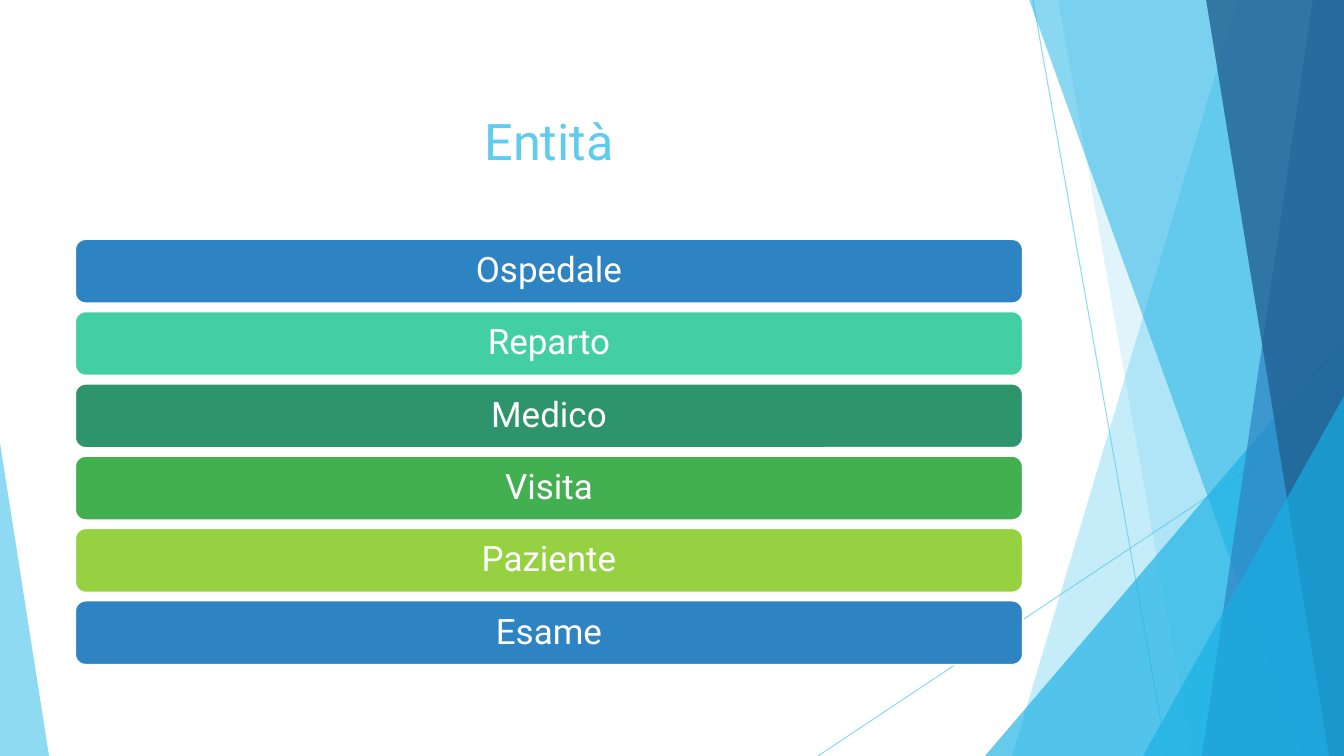
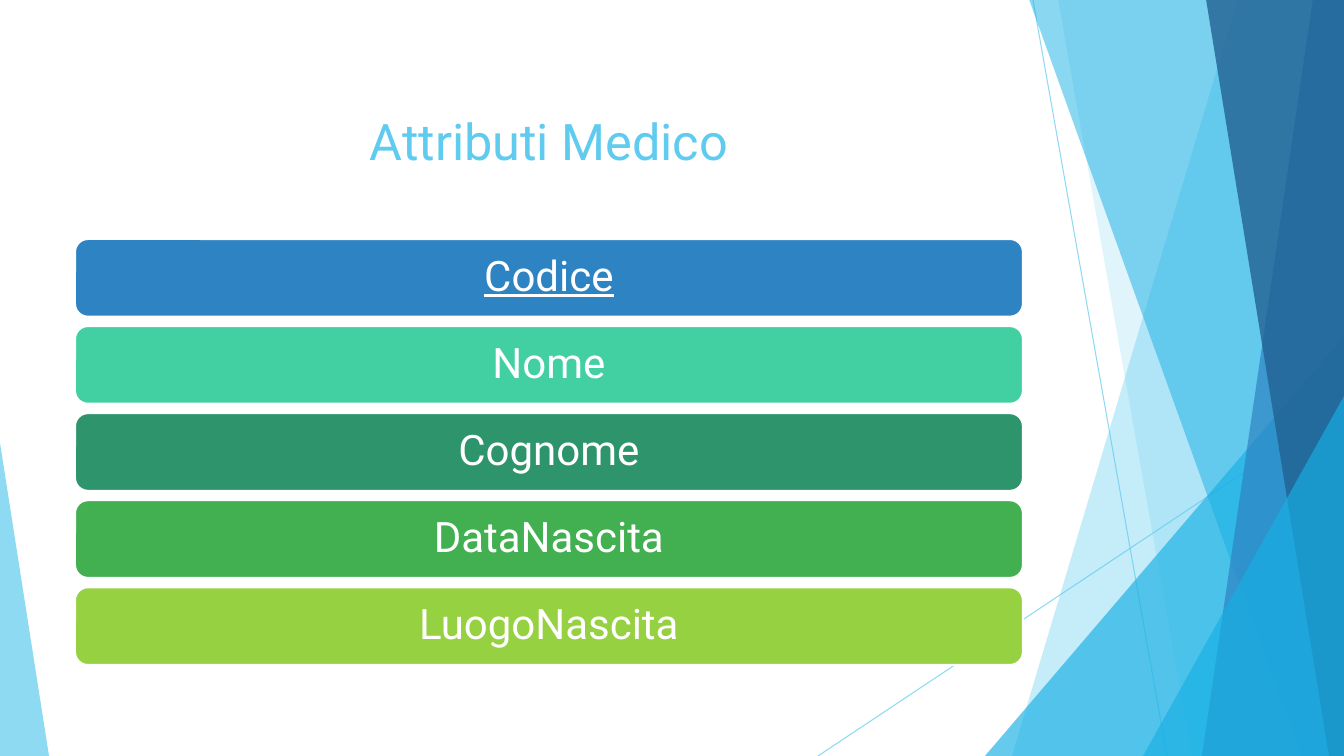
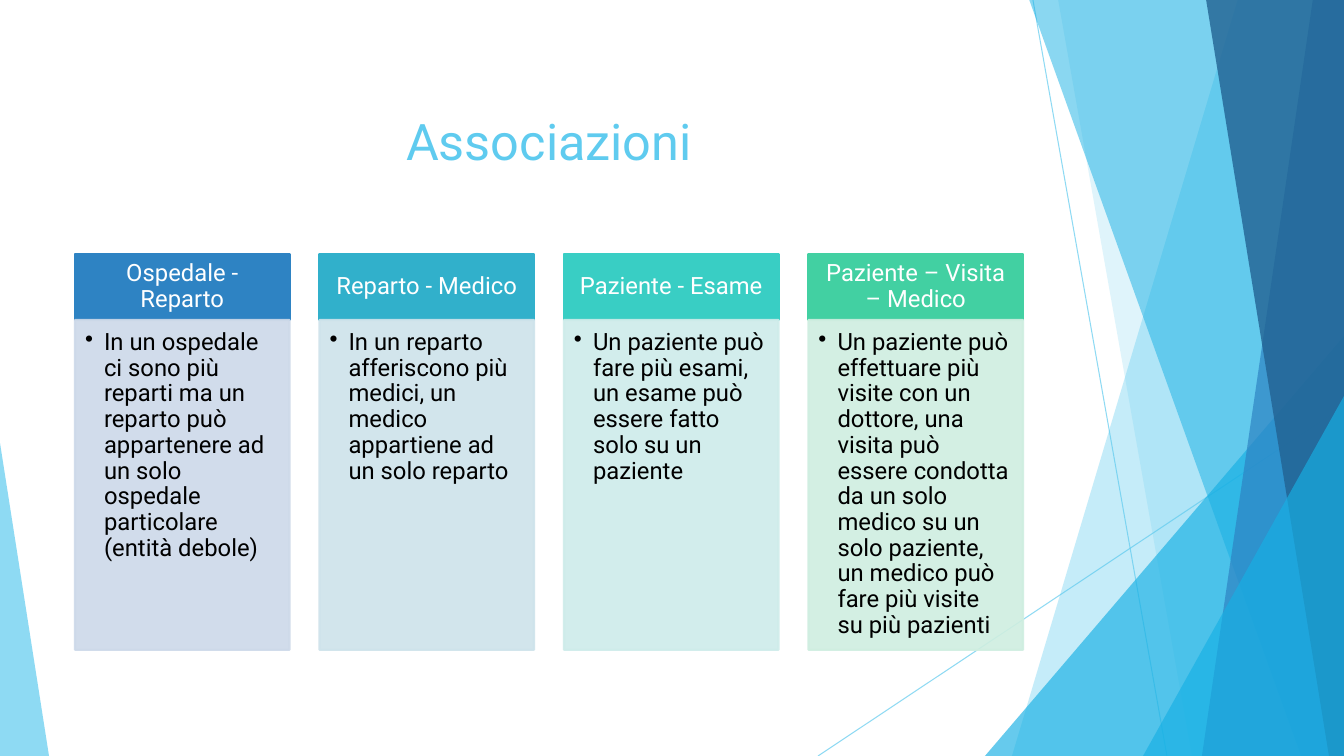
from pptx import Presentation
from pptx.dml.color import RGBColor
from pptx.enum.shapes import MSO_CONNECTOR, MSO_SHAPE
from pptx.enum.text import MSO_ANCHOR, PP_ALIGN
from pptx.oxml.ns import qn
from pptx.util import Pt
from lxml import etree

SCALE = 914400 / 100.8
WIDE, HIGH = 1344, 756

SKY = RGBColor(0x5F, 0xCB, 0xEF)
CYAN = RGBColor(0x17, 0xB0, 0xE4)
BLUE = RGBColor(0x2E, 0x83, 0xC3)
NAVY = RGBColor(0x22, 0x62, 0x92)
TEAL = RGBColor(0x31, 0xB0, 0xCB)
AQUA = RGBColor(0x39, 0xCE, 0xC4)
MINT = RGBColor(0x42, 0xD0, 0xA2)
PINE = RGBColor(0x2E, 0x94, 0x6B)
GREEN = RGBColor(0x42, 0xB0, 0x51)
LIME = RGBColor(0x96, 0xD1, 0x41)
PALE_BLUE = RGBColor(0xCD, 0xD9, 0xE9)
PALE_TEAL = RGBColor(0xCE, 0xE3, 0xEB)
PALE_AQUA = RGBColor(0xCE, 0xEC, 0xEA)
PALE_MINT = RGBColor(0xCF, 0xEE, 0xE0)
WHITE = RGBColor(0xFF, 0xFF, 0xFF)
BLACK = RGBColor(0, 0, 0)

FONT = "Roboto"
LINE = MSO_CONNECTOR.STRAIGHT
RECT = MSO_SHAPE.RECTANGLE
ROUND = MSO_SHAPE.ROUNDED_RECTANGLE
PEAK = MSO_SHAPE.ISOSCELES_TRIANGLE
MID, TOP = MSO_ANCHOR.MIDDLE, MSO_ANCHOR.TOP
LEFT, CENTER = PP_ALIGN.LEFT, PP_ALIGN.CENTER

TITLE_BOX = (75, 68, 948, 145)
BARS_BOX = (75, 239, 948, 426)
CARDS_BOX = (75, 254, 948, 396)

BAR_GAP = 0.12  # share of a bar's height
CARD_GAP = 0.14  # share of a card's width
HEAD = 66

RAYS = [(1033, 0, 1167, HIGH), (WIDE, 406, 818, HIGH)]
# Bands: x at the top, x at the foot. Peaks: left, top, width, tip.
FACETS = [
    ((1238, 1012), SKY, 36),
    ((1058, 1192), SKY, 20),
    ((985, 336, 359, 1), CYAN, 66),
    ((1029, 1301), CYAN, 50),
    ((1313, 1202), BLUE, 70),
    ((1206, 1329), NAVY, 80),
    ((1143, 396, 201, 1), CYAN, 66),
    ((0, 443, 49, 0), SKY, 70),
]

BAR_HUES = [BLUE, MINT, PINE, GREEN, LIME]
ENTITIES = ["Ospedale", "Reparto", "Medico", "Visita", "Paziente", "Esame"]
FIELDS = ["Codice", "Nome", "Cognome", "DataNascita", "LuogoNascita"]
LINKS = [
    ("Ospedale - Reparto", BLUE, PALE_BLUE,
     "In un ospedale ci sono più reparti ma un reparto può appartenere "
     "ad un solo ospedale particolare (entità debole)"),
    ("Reparto - Medico", TEAL, PALE_TEAL,
     "In un reparto afferiscono più medici, un medico appartiene "
     "ad un solo reparto"),
    ("Paziente - Esame", AQUA, PALE_AQUA,
     "Un paziente può fare più esami, un esame può essere fatto "
     "solo su un paziente"),
    ("Paziente – Visita – Medico", MINT, PALE_MINT,
     "Un paziente può effettuare più visite con un dottore, una visita può "
     "essere condotta da un solo medico su un solo paziente, un medico può "
     "fare più visite su più pazienti"),
]


def px(*sizes):
    return [round(size * SCALE) for size in sizes]


def fade(shape, alpha):
    """Make the fill and line of a shape see-through."""
    for color in shape.element.spPr.iter(qn("a:srgbClr")):
        etree.SubElement(color, qn("a:alpha"), val=str(alpha * 1000))


def paint(shape, fill, edge=None):
    shape.shadow.inherit = False
    shape.fill.solid()
    shape.fill.fore_color.rgb = fill
    if edge is None:
        shape.line.fill.background()
    else:
        shape.line.color.rgb = edge
        shape.line.width = Pt(1.5)


def write(shape, text, size, color, pad=(10, 10, 10, 10), anchor=MID,
          align=CENTER, spacing=0.9, bullet=False, underline=None):
    left, top, right, foot = px(*pad)
    frame = shape.text_frame
    para = frame.paragraphs[0]
    para.text = text
    if bullet:
        props = para._p.get_or_add_pPr()
        indent, = px(19)
        props.set("marL", str(indent))
        props.set("indent", str(-indent))
        etree.SubElement(props, qn("a:buChar"), char="•")
    formats = [
        (frame, dict(word_wrap=True, vertical_anchor=anchor,
                     margin_left=left, margin_top=top,
                     margin_right=right, margin_bottom=foot)),
        (para, dict(alignment=align, line_spacing=spacing)),
        (para.runs[0].font, dict(name=FONT, size=Pt(size),
                                 underline=underline)),
    ]
    for target, values in formats:
        for name, value in values.items():
            setattr(target, name, value)
    para.runs[0].font.color.rgb = color


def draw_rays(slide):
    for ends in RAYS:
        ray = slide.shapes.add_connector(LINE, *px(*ends))
        ray.line.color.rgb = SKY
        ray.line.width = Pt(0.75)
        fade(ray, 70)
        etree.SubElement(ray.element.spPr, qn("a:effectLst"))


def draw_facets(slide):
    for place, color, alpha in FACETS:
        if len(place) == 2:
            top, foot = place
            path = slide.shapes.build_freeform(top, -1, scale=SCALE)
            path.add_line_segments([(WIDE, -1), (WIDE, HIGH), (foot, HIGH)])
            facet = path.convert_to_shape()
        else:
            x, y, w, tip = place
            facet = slide.shapes.add_shape(PEAK, *px(x, y, w, HIGH - y))
            facet.adjustments[0] = tip
        paint(facet, color)
        fade(facet, alpha)


def start(deck, title):
    """Add a slide with the shared backdrop and a title."""
    slide = deck.slides.add_slide(deck.slide_layouts[6])
    draw_rays(slide)
    draw_facets(slide)
    box = slide.shapes.add_textbox(*px(*TITLE_BOX))
    write(box, title, 36, SKY, spacing=1.0)
    return slide


def add_bars(slide, box, names, size, key=None):
    """Stack one bar per name; the key is underlined."""
    x, y, w, h = box
    count = len(names)
    tall = h / (count + BAR_GAP * (count - 1))
    for i, name in enumerate(names):
        top = y + i * tall * (1 + BAR_GAP)
        bar = slide.shapes.add_shape(ROUND, *px(x, top, w, tall))
        paint(bar, BAR_HUES[i % len(BAR_HUES)], WHITE)
        write(bar, name, size, WHITE, underline=name == key or None)


def add_cards(slide, box, links):
    x, y, w, h = box
    count = len(links)
    wide = w / (count + CARD_GAP * (count - 1))
    for i, (name, hue, pale, text) in enumerate(links):
        left = x + i * wide * (1 + CARD_GAP)
        head = slide.shapes.add_shape(RECT, *px(left, y, wide, HEAD))
        paint(head, hue, hue)
        write(head, name, 17, WHITE, pad=(13, 8, 13, 8))
        body = slide.shapes.add_shape(
            RECT, *px(left, y + HEAD, wide, h - HEAD))
        paint(body, pale, pale)
        fade(body, 90)
        write(body, text, 17, BLACK, pad=(10, 10, 13, 15), anchor=TOP,
              align=LEFT, bullet=True)


def main():
    deck = Presentation()
    deck.slide_width, deck.slide_height = px(WIDE, HIGH)
    add_bars(start(deck, "Entità"), BARS_BOX, ENTITIES, 25)
    add_bars(start(deck, "Attributi Medico"), BARS_BOX, FIELDS, 30, "Codice")
    add_cards(start(deck, "Associazioni"), CARDS_BOX, LINKS)
    deck.save("out.pptx")


if __name__ == "__main__":
    main()
